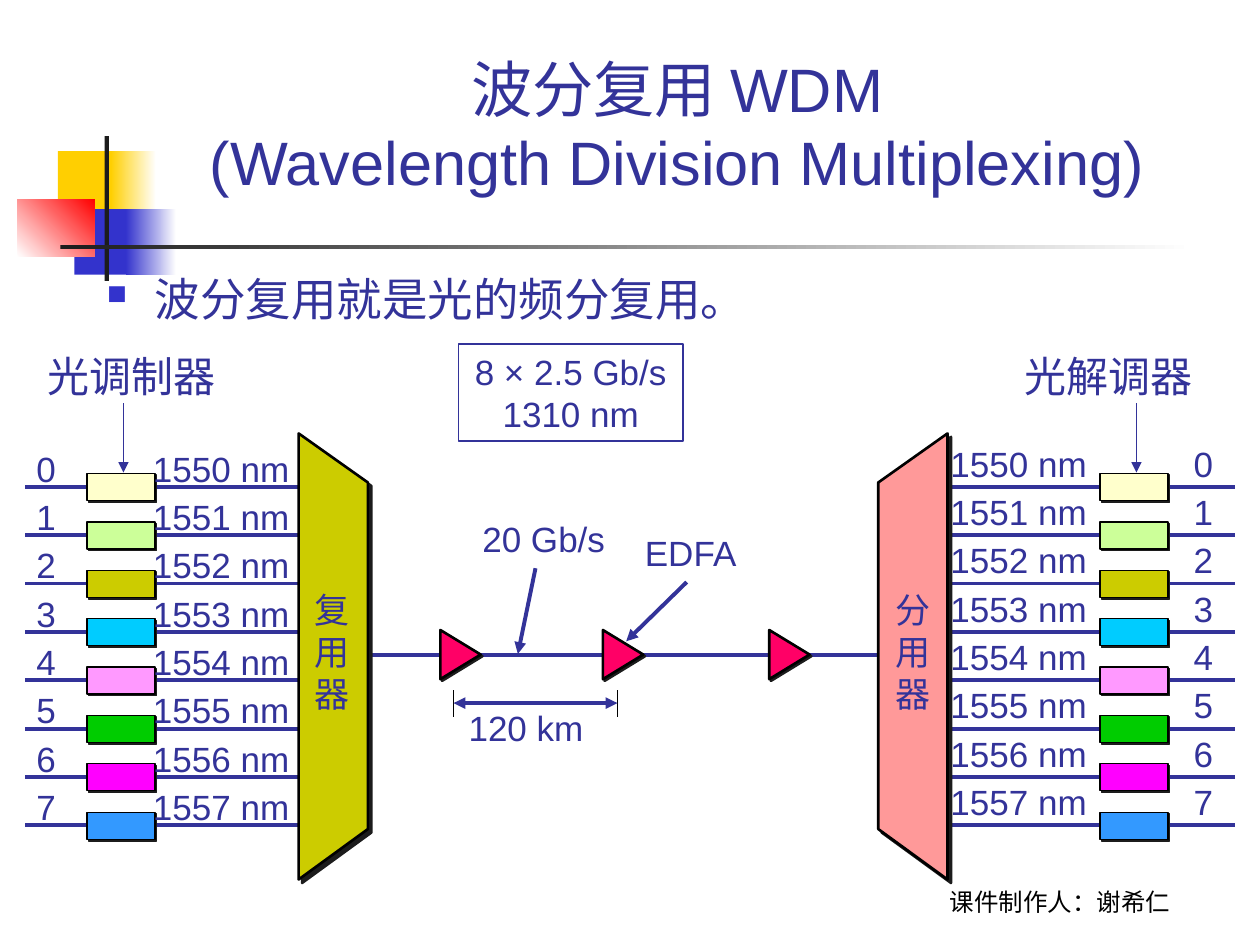
"""Build a slide that explains wavelength division multiplexing."""
from dataclasses import dataclass
from typing import Any, NamedTuple

from lxml.etree import SubElement
from pptx import Presentation
from pptx.dml.color import RGBColor
from pptx.enum.shapes import MSO_CONNECTOR, MSO_SHAPE
from pptx.enum.text import MSO_ANCHOR, MSO_AUTO_SIZE, PP_ALIGN
from pptx.oxml.ns import qn
from pptx.util import Inches, Pt

COLUMNS, ROWS = 100, 75
CELL = Inches(0.1)

INDIGO = RGBColor(0x33, 0x33, 0x99)
BLUE = RGBColor(0x33, 0x33, 0xCC)
GOLD = RGBColor(0xFF, 0xCF, 0x01)
RED = RGBColor(0xFF, 0x00, 0x00)
WHITE = RGBColor(0xFF, 0xFF, 0xFF)
BLACK = RGBColor(0x00, 0x00, 0x00)
CHARCOAL = RGBColor(0x1C, 0x1C, 0x1C)
OLIVE = RGBColor(0xCC, 0xCC, 0x00)
SALMON = RGBColor(0xFF, 0x99, 0x99)
CRIMSON = RGBColor(0xFF, 0x00, 0x66)
CHANNEL_COLORS = (
    RGBColor(0xFF, 0xFF, 0xCC), RGBColor(0xCC, 0xFF, 0x99), OLIVE,
    RGBColor(0x00, 0xCC, 0xFF), RGBColor(0xFF, 0x99, 0xFF),
    RGBColor(0x00, 0xCC, 0x00), RGBColor(0xFF, 0x00, 0xFF),
    RGBColor(0x33, 0x99, 0xFF),
)
FIRST_CHANNEL, CHANNEL_PITCH = 38.63, 3.84
FIRST_WAVELENGTH = 1550


class Area(NamedTuple):
    """A rectangle in grid columns and rows."""
    left: float
    top: float
    width: float
    height: float


@dataclass(frozen=True)
class Label:
    """A text box; newlines part its paragraphs."""
    text: str
    area: Area
    size: float = 20
    font: str = "Arial"
    color: RGBColor = INDIGO
    align: Any = PP_ALIGN.LEFT
    anchor: Any = MSO_ANCHOR.TOP
    wrap: bool = False
    spacing: float = 1.0
    tab: float = 0


@dataclass(frozen=True)
class Wire:
    """A straight line between two grid points."""
    start: tuple[float, float]
    end: tuple[float, float]
    color: RGBColor = INDIGO
    width: float = 2.25
    arrows: tuple[str, ...] = ()


@dataclass(frozen=True)
class Band:
    """A decorative rectangle, plain or fading between two colors."""
    area: Area
    color: RGBColor
    fade: RGBColor | None = None
    angle: float = 0


@dataclass(frozen=True)
class Side:
    """The channel ends on one side of the link."""
    wire_left: float
    box_left: float


BANDS = (
    Band(Area(4.6, 12, 4.8, 5.2), GOLD),
    Band(Area(8.8, 12, 3.6, 5.2), GOLD, WHITE),
    Band(Area(5.9, 16.6, 4.6, 5.2), BLUE),
    Band(Area(10, 16.6, 4, 5.2), BLUE, WHITE),
    Band(Area(1.4, 15.8, 6.1, 4.6), WHITE, RED, 45),
    Band(Area(8.3, 10.8, 0.35, 11.5), CHARCOAL),
    Band(Area(4.8, 19.45, 90, 0.35), CHARCOAL, WHITE),
)
SIDES = (Side(2, 6.9), Side(75.2, 87.3))
AMPLIFIER_LEFTS = (34.6, 47.5, 60.7)
WIRES = (
    Wire((42.5, 45.1), (41.1, 51.9), arrows=("tailEnd",)),
    Wire((54.5, 46.2), (49.7, 50.9), arrows=("tailEnd",)),
    Wire((36, 54.8), (36, 56.9), BLACK, 0.75),
    Wire((49, 54.8), (49, 56.9), BLACK, 0.75),
    Wire((36, 55.8), (49, 55.8), arrows=("headEnd", "tailEnd")),
    Wire((9.8, 32), (9.8, 37.5), width=0.75, arrows=("tailEnd",)),
    Wire((90.2, 32), (90.2, 37.5), width=0.75, arrows=("tailEnd",)),
)
CHANNELS = range(len(CHANNEL_COLORS))
LABELS = (
    Label("\n".join(f"{n}\t{FIRST_WAVELENGTH + n} nm" for n in CHANNELS),
          Area(1.9, 34.5, 25.2, 31.7), wrap=True, spacing=1.15, tab=9.25),
    Label("\n".join(f"{FIRST_WAVELENGTH + n} nm\t{n}" for n in CHANNELS),
          Area(74.45, 34.1, 23.7, 31.7), wrap=True, spacing=1.15, tab=19.3),
    Label("20 Gb/s", Area(37.3, 40.6, 11.7, 4.4)),
    Label("EDFA", Area(50.2, 41.7, 9.4, 4.4)),
    Label("120 km", Area(36.2, 55.6, 11.1, 4.4)),
    Label("复\n用\n器", Area(24, 46.2, 4.8, 11), font="Times New Roman"),
    Label("分\n用\n器", Area(70.1, 46.2, 4.8, 11), font="Times New Roman"),
    Label("光调制器", Area(2.8, 27.3, 15.3, 5), 24, "Roboto"),
    Label("光解调器", Area(80.3, 27.3, 15.3, 5), 24, "Roboto"),
    Label("课件制作人：谢希仁", Area(68.3, 68.2, 31.7, 5), 14, "Roboto", BLACK,
          PP_ALIGN.CENTER, MSO_ANCHOR.BOTTOM, True),
)
TITLE = Label("波分复用 WDM\v(Wavelength Division Multiplexing)",
              Area(12.6, 2.8, 82.3, 13.4), 35, align=PP_ALIGN.CENTER,
              anchor=MSO_ANCHOR.BOTTOM, wrap=True)
BULLET = Label("波分复用就是光的频分复用。", Area(7.5, 21, 90.6, 5.5), 26, wrap=True)
RATE = Label("8 × 2.5 Gb/s\n1310 nm", Area(36.4, 27.3, 17.8, 7.7), align=PP_ALIGN.CENTER)


def grid(*cells: float) -> list[int]:
    """Turn grid units into lengths."""
    return [round(cell * CELL) for cell in cells]


def set_values(target: Any, values: dict[str, Any]) -> None:
    """Set each named attribute of the target."""
    for name, value in values.items():
        setattr(target, name, value)


def write(frame: Any, label: Label) -> None:
    """Fill a text frame from a label."""
    set_values(frame, {"text": label.text, "word_wrap": label.wrap,
                       "auto_size": MSO_AUTO_SIZE.NONE, "vertical_anchor": label.anchor})
    for para in frame.paragraphs:
        set_values(para, {"alignment": label.align, "line_spacing": label.spacing})
        if label.tab:
            tabs = SubElement(para._p.get_or_add_pPr(), qn("a:tabLst"))
            SubElement(tabs, qn("a:tab"), pos=str(grid(label.tab)[0]), algn="l")
        for span in para.runs:
            set_values(span.font, {"size": Pt(label.size), "name": label.font})
            span.font.color.rgb = label.color


def add_label(page: Any, label: Label) -> Any:
    """Add a text box and return it."""
    box = page.shapes.add_textbox(*grid(*label.area))
    write(box.text_frame, label)
    return box


def add_bullet(page: Any, label: Label) -> None:
    """Add a text box with a square bullet."""
    para = add_label(page, label).text_frame.paragraphs[0]
    indent = grid(3.8)[0]
    properties = para._p.get_or_add_pPr()
    properties.set("marL", str(indent))
    properties.set("indent", str(-indent))
    SubElement(SubElement(properties, qn("a:buClr")), qn("a:srgbClr"), val=str(BLUE))
    SubElement(properties, qn("a:buSzPct"), val="60000")
    SubElement(properties, qn("a:buChar"), char="■")


def add_band(page: Any, band: Band) -> None:
    """Add a decorative rectangle."""
    shape = page.shapes.add_shape(MSO_SHAPE.RECTANGLE, *grid(*band.area))
    shape.shadow.inherit = False
    shape.line.fill.background()
    if band.fade is None:
        shape.fill.solid()
        shape.fill.fore_color.rgb = band.color
        return
    shape.fill.gradient()
    shape.fill.gradient_angle = band.angle
    for stop, color, position in zip(shape.fill.gradient_stops, (band.color, band.fade), (0, 1)):
        stop.color.rgb = color
        stop.position = position


def add_wire(page: Any, wire: Wire) -> None:
    """Add a line with its arrowheads."""
    line = page.shapes.add_connector(MSO_CONNECTOR.STRAIGHT, *grid(*wire.start, *wire.end))
    line.line.color.rgb = wire.color
    line.line.width = Pt(wire.width)
    properties = line._element.spPr
    for arrow in wire.arrows:
        SubElement(properties.find(qn("a:ln")), qn(f"a:{arrow}"), type="triangle")
    SubElement(properties, qn("a:effectLst"))


def style_device(shape: Any, color: RGBColor, width: float, distance: float) -> None:
    """Give a device its fill, outline and hard shadow."""
    shape.fill.solid()
    shape.fill.fore_color.rgb = color
    shape.line.color.rgb = BLACK
    shape.line.width = Pt(width)
    shape.shadow.inherit = False
    effects = shape._element.spPr.find(qn("a:effectLst"))
    shadow = SubElement(effects, qn("a:outerShdw"), dist=str(Pt(distance)), dir="2700000",
                        algn="ctr", rotWithShape="0")
    SubElement(shadow, qn("a:srgbClr"), val=str(CHARCOAL))


def add_multiplexer(page: Any, outer: float, inner: float, color: RGBColor) -> None:
    """Add a trapezoid whose short edge faces the fiber."""
    points = [grid(*p) for p in ((outer, 34.4), (inner, 38.3), (inner, 65.8), (outer, 69.8))]
    builder = page.shapes.build_freeform(*points[0])
    builder.add_line_segments(points[1:], close=True)
    style_device(builder.convert_to_shape(), color, 1.5, 2.8)


def add_channels(page: Any, side: Side) -> None:
    """Add the wires and colored boxes of one side."""
    for index, color in enumerate(CHANNEL_COLORS):
        row = FIRST_CHANNEL + index * CHANNEL_PITCH
        add_wire(page, Wire((side.wire_left, row), (side.wire_left + 22.8, row)))
        box = page.shapes.add_shape(MSO_SHAPE.RECTANGLE, *grid(side.box_left, row - 1.05, 5.4, 2.15))
        style_device(box, color, 0.75, 1.4)


def main() -> None:
    """Build and save the deck."""
    deck = Presentation()
    set_values(deck, {"slide_width": COLUMNS * CELL, "slide_height": ROWS * CELL})
    page = deck.slides.add_slide(deck.slide_layouts[5])
    for band in BANDS:
        add_band(page, band)
    title = page.shapes.title
    set_values(title, dict(zip(("left", "top", "width", "height"), grid(*TITLE.area))))
    write(title.text_frame, TITLE)
    add_bullet(page, BULLET)
    rate = add_label(page, RATE)
    rate.line.color.rgb = INDIGO
    rate.line.width = Pt(0.75)
    for side in SIDES:
        add_channels(page, side)
    add_wire(page, Wire((25.4, 52), (74.6, 52)))
    for left in AMPLIFIER_LEFTS:
        amplifier = page.shapes.add_shape(MSO_SHAPE.ISOSCELES_TRIANGLE, *grid(left, 50.35, 3.9, 3.2))
        amplifier.rotation = 90
        style_device(amplifier, CRIMSON, 1.5, 1.4)
    add_multiplexer(page, 23.7, 29.2, OLIVE)
    add_multiplexer(page, 75.2, 69.7, SALMON)
    for wire in WIRES:
        add_wire(page, wire)
    for label in LABELS:
        add_label(page, label)
    deck.save("out.pptx")


if __name__ == "__main__":
    main()
